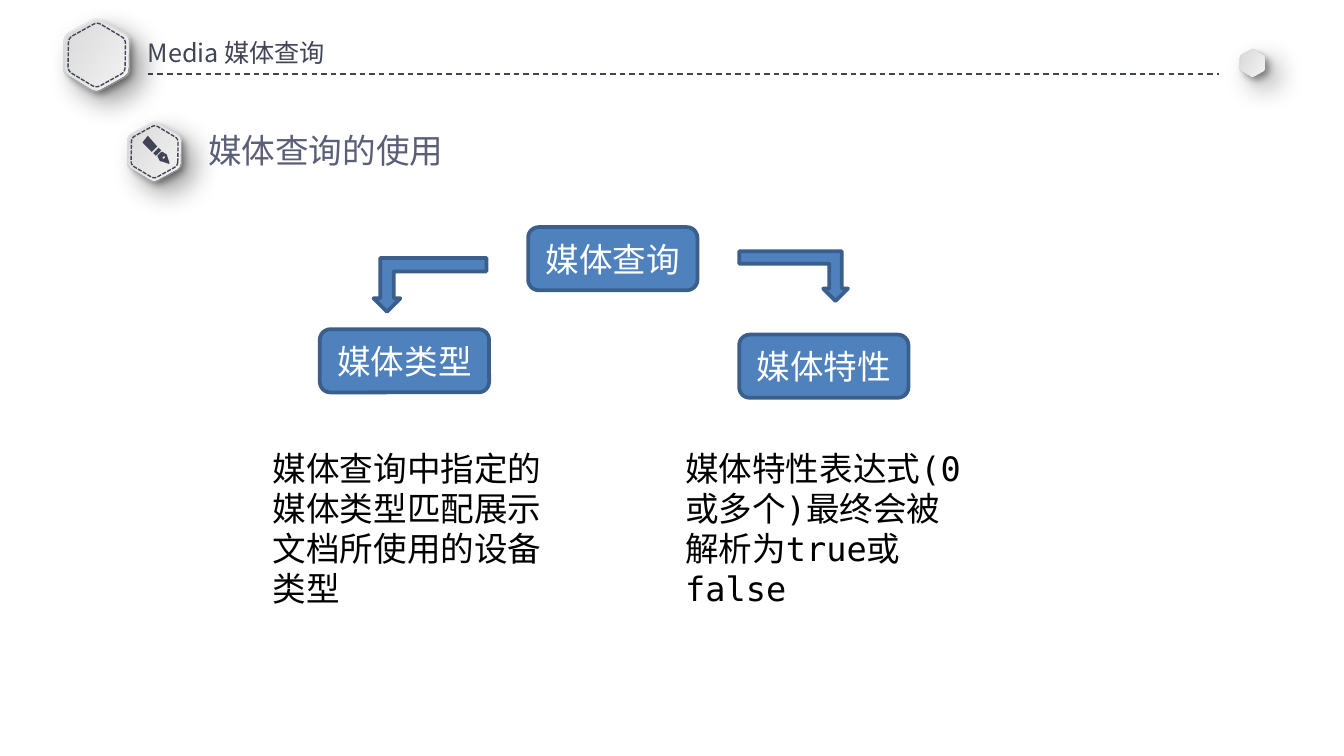
import math

import pptx
import pptx.dml.color
import pptx.enum.dml
import pptx.enum.shapes
import pptx.enum.text
import pptx.oxml
import pptx.oxml.ns
import pptx.util

Inches, Pt = pptx.util.Inches, pptx.util.Pt
SHAPE = pptx.enum.shapes.MSO_SHAPE
DASH = pptx.enum.dml.MSO_LINE
ALIGN = pptx.enum.text.PP_ALIGN
ANCHOR = pptx.enum.text.MSO_ANCHOR

# Content
COLORS = {"ink": "414455", "heading": "5B5E77", "blue": "4F81BD", "edge": "3A5F8C",
          "dark": "D3D3D3", "light": "F9F9F9", "white": "FFFFFF", "black": "000000"}
TITLE = {"size": Pt(13.5), "name": "Noto Sans CJK SC"}
HEADING = {"size": Pt(18), "name": "Noto Sans CJK SC"}
LABEL = {"size": Pt(18), "name": "Calibri"}
BODY = {"size": Pt(18), "name": "DejaVu Sans Mono"}

# text, (left, top, width, height), format, colour, (side inset, top inset)
TEXTS = [
    ("Media 媒体查询", (1.04, 0.25, 2.68, 0.28), TITLE, "ink", (0.06, 0.03)),
    ("媒体查询的使用", (1.45, 0.92, 2.38, 0.4), HEADING, "heading", (0.1, 0.05)),
    ("媒体查询中指定的媒体类型匹配展示文档所使用的设备类型",
     (1.93, 3.28, 2.38, 1.31), BODY, "black", (0.1, 0.05)),
    ("媒体特性表达式(0或多个)最终会被解析为true或false",
     (5, 3.28, 2.26, 1.31), BODY, "black", (0.1, 0.05)),
]
NODES = [("媒体类型", 2.38, 2.45), ("媒体查询", 3.93, 1.69), ("媒体特性", 5.5, 2.49)]
NODE_SIZE = (1.26, 0.47)
ARROWS = [((2.78, 1.92, 0.84, 0.4), ("flipH", "flipV")),
          ((5.5, 1.87, 0.81, 0.37), ("flipV",))]
# centre x, centre y, width, stitched edge
BADGES = [(9.32, 0.47, 0.21, False), (0.72, 0.41, 0.55, True), (1.15, 1.13, 0.45, True)]
# size ratio, gradient angle, shadow blur and distance in points
LAYERS = [(1, 90, 15, 9), (0.95, 0, 4, 3)]
STITCH_RATIO = 0.86
TILT = 30.9
# Each pen part is a list of contours
PEN = [
    [[(1.2, 1.12), (1.18, 1.1), (1.14, 1.14), (1.16, 1.16)]],
    [[(1.17, 1.09), (1.1, 1.01), (1.06, 1.06), (1.13, 1.13)]],
    [[(1.26, 1.21), (1.24, 1.15), (1.21, 1.13), (1.2, 1.13), (1.17, 1.16),
      (1.19, 1.2), (1.2, 1.2), (1.26, 1.22)],
     [(1.22, 1.18), (1.21, 1.18), (1.21, 1.17), (1.22, 1.16), (1.23, 1.17)]],
]

# Widescreen 16:9 page
deck = pptx.Presentation()
deck.slide_width = Inches(10)
deck.slide_height = deck.slide_width * 9 // 16
page = deck.slides.add_slide(deck.slide_layouts[6])


def rgb(name):
    return pptx.dml.color.RGBColor.from_string(COLORS[name])


def inches(values):
    return [Inches(value) for value in values]


def paint(shape, fill=None, line=None, width=0.75):
    shape.shadow.inherit = False
    if fill:
        shape.fill.solid()
        shape.fill.fore_color.rgb = rgb(fill)
    else:
        shape.fill.background()
    if line:
        shape.line.color.rgb = rgb(line)
        shape.line.width = Pt(width)
    else:
        shape.line.fill.background()


def write(shape, text, style, color):
    para = shape.text_frame.paragraphs[0]
    span = para.add_run()
    span.text = text
    for key, value in style.items():
        setattr(span.font, key, value)
    span.font.color.rgb = rgb(color)
    return para


def outline(contours):
    contours = [[inches(point) for point in contour] for contour in contours]
    builder = page.shapes.build_freeform(*contours[0][0], scale=1.0)
    builder.add_line_segments(contours[0][1:], close=True)
    for contour in contours[1:]:
        builder.move_to(*contour[0])
        builder.add_line_segments(contour[1:], close=True)
    return builder.convert_to_shape()


def hexagon(x, y, width, cut=0.14, steps=4):
    """Flat-topped hexagon with rounded corners, tilted onto its point."""
    radius = width / 2 / (1 - cut / 4)
    corners = [(x + radius * math.cos(math.radians(60 * i)),
                y + radius * math.sin(math.radians(60 * i))) for i in range(6)]
    points = []
    for i, corner in enumerate(corners):
        before, after = corners[i - 1], corners[(i + 1) % 6]
        for step in range(steps + 1):
            t = step / steps
            points.append([c + cut * ((1 - t) ** 2 * (b - c) + t ** 2 * (a - c))
                           for b, c, a in zip(before, corner, after)])
    shape = outline([points])
    shape.rotation = TILT
    return shape


def add_shadow(shape, blur, distance):
    effects = shape.element.spPr.find(pptx.oxml.ns.qn("a:effectLst"))
    effects.append(pptx.oxml.parse_xml(
        f'<a:outerShdw {pptx.oxml.ns.nsdecls("a")} blurRad="{Pt(blur)}" dist="{Pt(distance)}" '
        'dir="2700000" algn="tl" rotWithShape="0">'
        f'<a:srgbClr val="{COLORS["black"]}"><a:alpha val="40000"/></a:srgbClr></a:outerShdw>'))


# Dashed rule under the title
rule = page.shapes.add_connector(pptx.enum.shapes.MSO_CONNECTOR.STRAIGHT,
                                 *inches((1.1, 0.55, 9.07, 0.55)))
rule.line.color.rgb = rgb("ink")
rule.line.width = Pt(0.75)
rule.line.dash_style = DASH.DASH
rule.element.spPr.append(pptx.oxml.parse_xml(f'<a:effectLst {pptx.oxml.ns.nsdecls("a")}/>'))

# Hexagon badges
for x, y, width, stitched in BADGES:
    for ratio, angle, blur, distance in LAYERS:
        plate = hexagon(x, y, width * ratio)
        paint(plate)
        plate.fill.gradient()
        plate.fill.gradient_angle = angle
        for stop, shade in zip(plate.fill.gradient_stops, ("dark", "light")):
            stop.color.rgb = rgb(shade)
        add_shadow(plate, blur, distance)
    if stitched:
        stitch = hexagon(x, y, width * STITCH_RATIO)
        paint(stitch, line="ink")
        stitch.line.dash_style = DASH.SQUARE_DOT

# Pen icon
for part in PEN:
    paint(outline(part), "ink")

# Diagram nodes and arrows
for text, left, top in NODES:
    node = page.shapes.add_shape(SHAPE.ROUNDED_RECTANGLE, *inches((left, top, *NODE_SIZE)))
    paint(node, "blue", "edge", 2)
    node.text_frame.vertical_anchor = ANCHOR.MIDDLE
    write(node, text, LABEL, "white").alignment = ALIGN.CENTER
for place, flips in ARROWS:
    arrow = page.shapes.add_shape(SHAPE.BENT_UP_ARROW, *inches(place))
    paint(arrow, "blue", "edge", 2)
    for flip in flips:
        arrow.element.spPr.xfrm.set(flip, "1")

# Title, heading and explanations
for text, place, style, color, (side, edge) in TEXTS:
    box = page.shapes.add_textbox(*inches(place))
    frame = box.text_frame
    frame.word_wrap = True
    frame.auto_size = pptx.enum.text.MSO_AUTO_SIZE.SHAPE_TO_FIT_TEXT
    frame.margin_left = frame.margin_right = Inches(side)
    frame.margin_top = frame.margin_bottom = Inches(edge)
    write(box, text, style, color)

deck.save("out.pptx")
